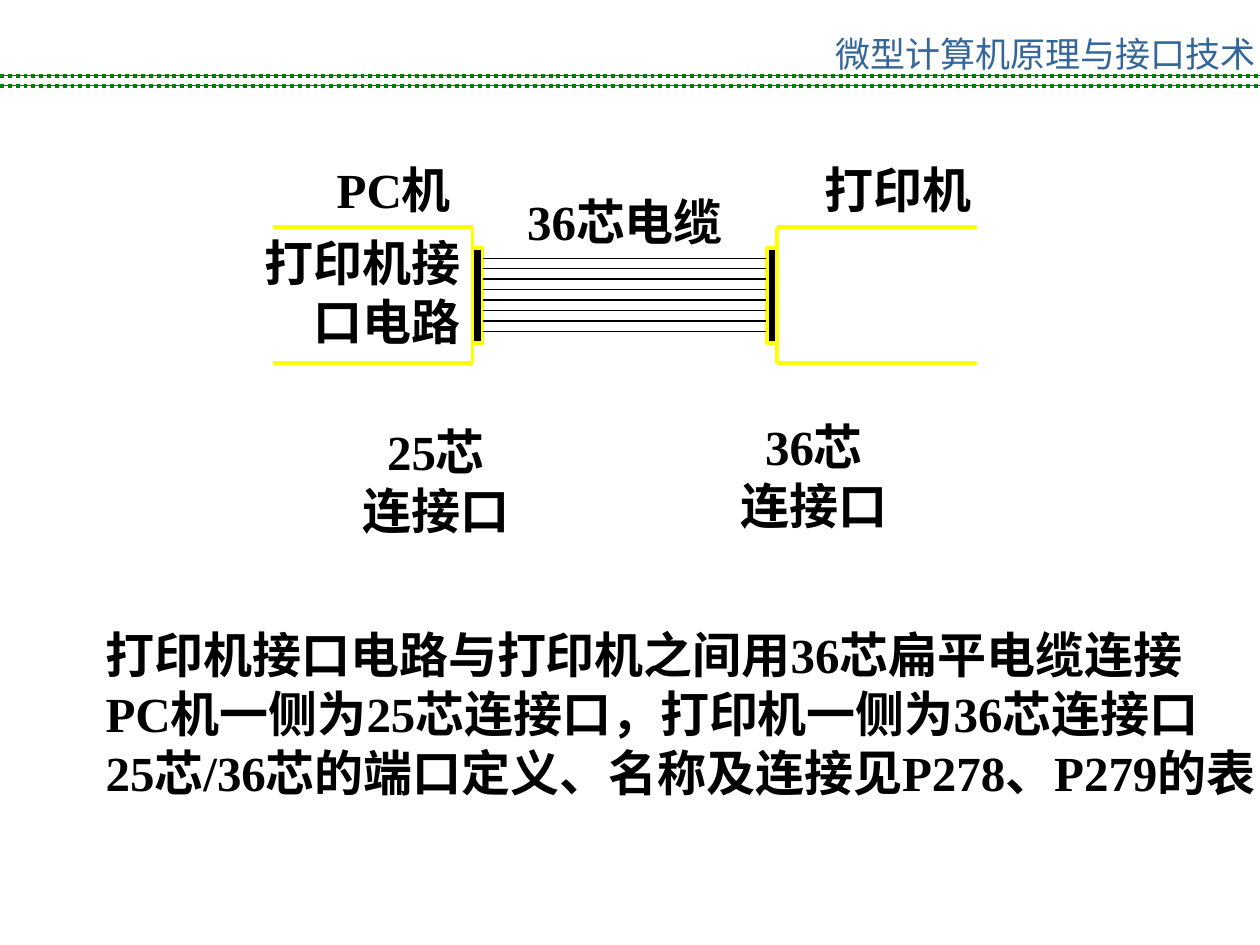
from pptx import Presentation
from pptx.dml.color import RGBColor
from pptx.enum.dml import MSO_LINE
from pptx.enum.shapes import MSO_CONNECTOR, MSO_SHAPE
from pptx.enum.text import MSO_ANCHOR, PP_ALIGN
from pptx.oxml.ns import qn
from pptx.util import Inches, Pt
from lxml.etree import SubElement

CJK = "Noto Sans CJK SC"
BODY = {"size": Pt(28), "name": "Times New Roman", "bold": True}
HEADING = {"size": Pt(20), "name": CJK, "bold": False}
GREEN, YELLOW, BLACK, BLUE = "008000", "FFFF00", "000000", "336699"


def rgb(hex_color):
    """Turn a hex string into a colour."""
    return RGBColor.from_string(hex_color)


def add_line(slide, start, end, color, weight, dash=None):
    """Draw a straight line between two points in inches."""
    line = slide.shapes.add_connector(
        MSO_CONNECTOR.STRAIGHT, *(Inches(v) for v in (*start, *end)))
    line.line.color.rgb = rgb(color)
    line.line.width = Pt(weight)
    if dash:
        line.line.dash_style = dash
    SubElement(line._element.spPr, qn("a:effectLst"))


def add_text(slide, box, paragraphs, align=PP_ALIGN.CENTER, style=BODY,
             color=BLACK, side_inset=0.1):
    """Place paragraphs in a box given in inches."""
    frame = slide.shapes.add_textbox(*map(Inches, box)).text_frame
    frame.word_wrap = True
    frame.vertical_anchor = MSO_ANCHOR.TOP
    frame.margin_left = frame.margin_right = Inches(side_inset)
    for index, words in enumerate(paragraphs):
        paragraph = frame.paragraphs[0] if index == 0 else frame.add_paragraph()
        paragraph.alignment = align
        run = paragraph.add_run()
        run.text = words
        for attribute, value in style.items():
            setattr(run.font, attribute, value)
        run.font.color.rgb = rgb(color)
        SubElement(run._r.get_or_add_rPr(), qn("a:ea")).set("typeface", CJK)


def add_header(slide, box):
    """Draw the course title above a pair of dotted green rules."""
    left, top, width, height = box
    title_width = 3.4
    add_text(slide, (left + width - title_width, top + 0.21, title_width, 0.4),
             ["微型计算机原理与接口技术"], style=HEADING, color=BLUE, side_inset=0)
    for y in (top + height - 0.08, top + height):
        for weight, dash in ((0.75, None), (2.25, MSO_LINE.ROUND_DOT)):
            add_line(slide, (left, y), (left + width, y), GREEN, weight, dash)


def add_machine(slide, box, port_on_right):
    """Draw an open machine outline with its port on the closed side."""
    left, top, width, height = box
    right, bottom = left + width, top + height
    wall = right if port_on_right else left
    for y in (top, bottom):
        add_line(slide, (left, y), (right, y), YELLOW, 2.25)
    add_line(slide, (wall, top), (wall, bottom), YELLOW, 2.25)
    port_left = wall if port_on_right else wall - 0.08
    port = slide.shapes.add_shape(
        MSO_SHAPE.RECTANGLE, *map(Inches, (port_left, top + 0.17, 0.08, 0.75)))
    port.shadow.inherit = False
    port.fill.solid()
    port.fill.fore_color.rgb = rgb(BLACK)
    port.line.color.rgb = rgb(YELLOW)
    port.line.width = Pt(2.25)


def add_cable(slide, box, wires=8):
    """Draw evenly spaced wires that fill the box."""
    left, top, width, height = box
    for index in range(wires):
        y = top + height * index / (wires - 1)
        add_line(slide, (left, y), (left + width, y), BLACK, 0.75)


def add_diagram(slide, box):
    """Draw the computer, the printer and the labelled cable between them."""
    left, top, width, height = box
    labels = [
        ((0, 0.58, 2, 1.04), ["打印机接口电路"], PP_ALIGN.RIGHT),
        ((0.75, 0, 1.25, 0.57), ["PC机"], PP_ALIGN.CENTER),
        ((4.5, 0, 1.75, 0.57), ["打印机"], PP_ALIGN.CENTER),
        ((1, 2.08, 1.42, 1.04), ["25芯", "连接口"], PP_ALIGN.CENTER),
        ((4, 2.04, 1.42, 1.04), ["36芯", "连接口"], PP_ALIGN.CENTER),
        ((2.25, 0.25, 1.92, 0.57), ["36芯电缆"], PP_ALIGN.CENTER),
    ]
    for (x, y, label_width, label_height), words, align in labels:
        add_text(slide, (left + x, top + y, label_width, label_height), words, align)
    add_machine(slide, (left + 0.42, top + 0.58, 1.58, 1.08), True)
    add_machine(slide, (left + width - 1.83, top + 0.58, 1.58, 1.08), False)
    add_cable(slide, (left + 2.08, top + 0.83, 2.25, 0.58))


def add_explanation(slide, box):
    """Write the justified explanation below the diagram."""
    add_text(slide, box, [
        "打印机接口电路与打印机之间用36芯扁平电缆连接",
        "PC机一侧为25芯连接口，打印机一侧为36芯连接口",
        "25芯/36芯的端口定义、名称及连接见P278、P279的表",
    ], PP_ALIGN.JUSTIFY)


def main():
    """Build the slide and save it."""
    deck = Presentation()
    deck.slide_width, deck.slide_height = Inches(10), Inches(7.5)
    slide = deck.slides.add_slide(deck.slide_layouts[6])
    add_header(slide, (0, 0, 10, 0.68))
    add_diagram(slide, (1.75, 1.22, 6.25, 3.12))
    add_explanation(slide, (0.74, 4.91, 9.33, 2.44))
    deck.save("out.pptx")


if __name__ == "__main__":
    main()
